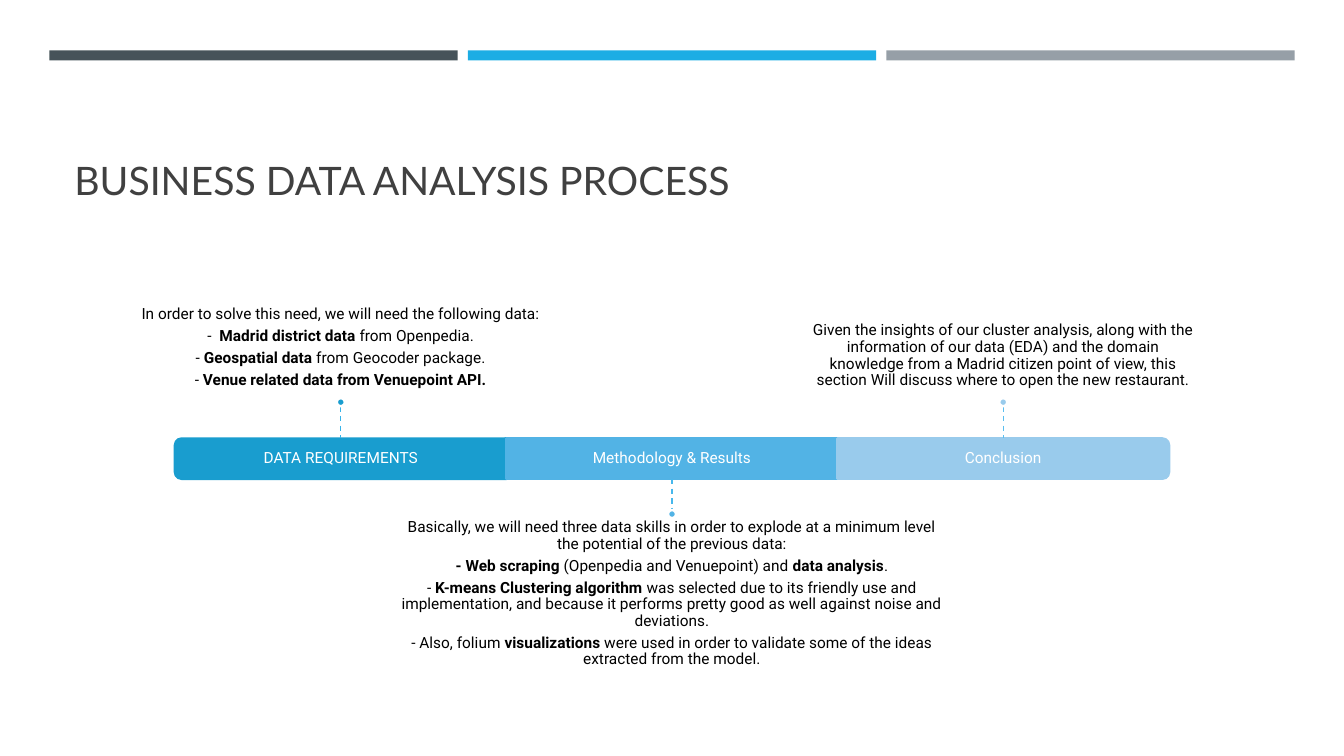
"""Build the business data analysis process slide."""
import lxml.etree
import pptx
import pptx.dml.color
import pptx.enum.dml
import pptx.enum.shapes
import pptx.enum.text
import pptx.oxml.ns
import pptx.util

RGBColor = pptx.dml.color.RGBColor
Shape = pptx.enum.shapes.MSO_SHAPE
Anchor = pptx.enum.text.MSO_ANCHOR
Align = pptx.enum.text.PP_ALIGN
Inches = pptx.util.Inches
Pt = pptx.util.Pt

WHITE = RGBColor(0xFF, 0xFF, 0xFF)
BLACK = RGBColor(0x00, 0x00, 0x00)
TITLE_GRAY = RGBColor(0x40, 0x40, 0x40)
STRIPE_COLORS = [
    RGBColor(0x46, 0x53, 0x59),
    RGBColor(0x1C, 0xAD, 0xE4),
    RGBColor(0x96, 0x9F, 0xA7),
]

TITLE = "BUSINESS DATA ANALYSIS PROCESS"
STAGES = [
    {
        "label": "DATA REQUIREMENTS",
        "fill": RGBColor(0x19, 0x9D, 0xCF),
        "stem": RGBColor(0x36, 0xB3, 0xE9),
        "outline": Shape.ROUND_2_SAME_RECTANGLE,
        "rotation": 270,
        "above": True,
        "width_share": 0.411,
        "lines": [
            "In order to solve this need, we will need the following data:",
            "-  **Madrid district data **from Openpedia.",
            "- **Geospatial data** from Geocoder package.",
            "- **Venue related data from Venuepoint API.**",
        ],
    },
    {
        "label": "Methodology & Results",
        "fill": RGBColor(0x52, 0xB3, 0xE5),
        "stem": RGBColor(0x48, 0xB8, 0xEC),
        "outline": Shape.RECTANGLE,
        "rotation": 0,
        "above": False,
        "width_share": 0.411,
        "lines": [
            "Basically, we will need three data skills in order to explode at a "
            "minimum level the potential of the previous data:",
            "**- Web scraping **(Openpedia and Venuepoint) and **data analysis**.",
            "- **K-means Clustering algorithm **was selected due to its friendly use "
            "and implementation, and because it performs pretty good as well "
            "against noise and deviations.",
            "- Also, folium **visualizations** were used in order to validate some "
            "of the ideas extracted from the model.",
        ],
    },
    {
        "label": "Conclusion",
        "fill": RGBColor(0x99, 0xCB, 0xEC),
        "stem": RGBColor(0x5A, 0xBE, 0xEF),
        "outline": Shape.ROUND_2_SAME_RECTANGLE,
        "rotation": 90,
        "above": True,
        "width_share": 0.289,
        "lines": [
            "Given the insights of our cluster analysis, along with the information "
            "of our data (EDA) and the domain knowledge from a Madrid citizen point "
            "of view, this section Will discuss where to open the new restaurant.",
        ],
    },
]

WIDTH, HEIGHT = 13.33, 7.5
STRIPE_WIDTH, STRIPE_GAP, STRIPE_HEIGHT = 4.05, 0.1, 0.1
STAGE_PITCH, STAGE_WIDTH = 3.285, 3.29
BAND_TOP, BAND_HEIGHT = HEIGHT * 0.58, 0.4
BAND_MIDDLE = BAND_TOP + BAND_HEIGHT / 2
BAND_BOTTOM = BAND_TOP + BAND_HEIGHT
DETAIL_HEIGHT, DOT_SIZE, STEM_LENGTH, INSET = 1.39, 0.08, 0.32, 0.09
UPPER_DETAIL_BOTTOM, LOWER_DETAIL_TOP = 3.95, 5.06


def box(left, top, width, height):
    return [Inches(length) for length in (left, top, width, height)]


def centered(middle_x, middle_y, width, height):
    return box(middle_x - width / 2, middle_y - height / 2, width, height)


def add_filled(slide, kind, place, fill, line=None):
    shape = slide.shapes.add_shape(kind, *place)
    shape.shadow.inherit = False
    shape.fill.solid()
    shape.fill.fore_color.rgb = fill
    if line is None:
        shape.line.fill.background()
    else:
        shape.line.color.rgb = line
        shape.line.width = Pt(1.75)
    return shape


def add_text(slide, place, lines, font, size, color, anchor, insets, align, spacing):
    frame = slide.shapes.add_textbox(*place).text_frame
    frame.word_wrap = True
    frame.vertical_anchor = anchor
    (frame.margin_left, frame.margin_top,
     frame.margin_right, frame.margin_bottom) = box(*insets)
    for index, line in enumerate(lines):
        paragraph = frame.add_paragraph() if index else frame.paragraphs[0]
        paragraph.alignment = align
        paragraph.line_spacing = spacing
        paragraph.space_after = Pt(size * 0.35)
        for part, words in enumerate(line.split("**")):
            if words:
                run = paragraph.add_run()
                run.text = words
                run.font.name = font
                run.font.size = Pt(size)
                run.font.bold = part % 2 == 1
                run.font.color.rgb = color


def add_stem(slide, x, top, color):
    stem = slide.shapes.add_connector(
        pptx.enum.shapes.MSO_CONNECTOR.STRAIGHT,
        Inches(x), Inches(top), Inches(x), Inches(top + STEM_LENGTH))
    stem.line.color.rgb = color
    stem.line.width = Pt(1)
    stem.line.dash_style = pptx.enum.dml.MSO_LINE.DASH
    properties = stem._element.spPr
    lxml.etree.SubElement(properties, pptx.oxml.ns.qn("a:effectLst"))


def add_stage(slide, index, stage):
    x = WIDTH / 2 + (index - 1) * STAGE_PITCH
    size = (BAND_HEIGHT, STAGE_WIDTH) if stage["rotation"] else (STAGE_WIDTH, BAND_HEIGHT)
    segment = add_filled(slide, stage["outline"], centered(x, BAND_MIDDLE, *size),
                         stage["fill"], stage["fill"])
    segment.rotation = stage["rotation"]
    add_text(slide, centered(x, BAND_MIDDLE, STAGE_WIDTH, BAND_HEIGHT), [stage["label"]],
             "Roboto", 11, WHITE, Anchor.MIDDLE, [INSET] * 4, Align.CENTER, 0.9)

    if stage["above"]:
        detail_top = UPPER_DETAIL_BOTTOM - DETAIL_HEIGHT
        dot_top, stem_top = UPPER_DETAIL_BOTTOM, BAND_TOP - STEM_LENGTH
        anchor, insets = Anchor.BOTTOM, (0, 0, 0, INSET)
    else:
        detail_top = dot_top = LOWER_DETAIL_TOP
        stem_top = BAND_BOTTOM
        anchor, insets = Anchor.TOP, (0, INSET, 0, 0)
    width = WIDTH * stage["width_share"]
    add_text(slide, box(x - width / 2, detail_top, width, DETAIL_HEIGHT), stage["lines"],
             "Roboto", 11, BLACK, anchor, insets, Align.CENTER, 0.9)
    add_stem(slide, x, stem_top, stage["stem"])
    add_filled(slide, Shape.OVAL, box(x - DOT_SIZE / 2, dot_top, DOT_SIZE, DOT_SIZE),
               stage["fill"], WHITE)


def main():
    presentation = pptx.Presentation()
    presentation.slide_width = Inches(WIDTH)
    presentation.slide_height = Inches(HEIGHT)
    slide = presentation.slides.add_slide(presentation.slide_layouts[6])

    stripe_pitch = STRIPE_WIDTH + STRIPE_GAP
    for index, color in enumerate(STRIPE_COLORS):
        middle = WIDTH / 2 + (index - 1) * stripe_pitch
        add_filled(slide, Shape.RECTANGLE,
                   box(middle - STRIPE_WIDTH / 2, HEIGHT / 15, STRIPE_WIDTH, STRIPE_HEIGHT),
                   color)

    add_text(slide, box(0.64, 0.77, 12.06, 1.3), [TITLE], "Lato", 28, TITLE_GRAY,
             Anchor.BOTTOM, (0.1, 0.05, 0.1, 0.05), Align.LEFT, 0.9)
    for index, stage in enumerate(STAGES):
        add_stage(slide, index, stage)

    presentation.save("out.pptx")


if __name__ == "__main__":
    main()
